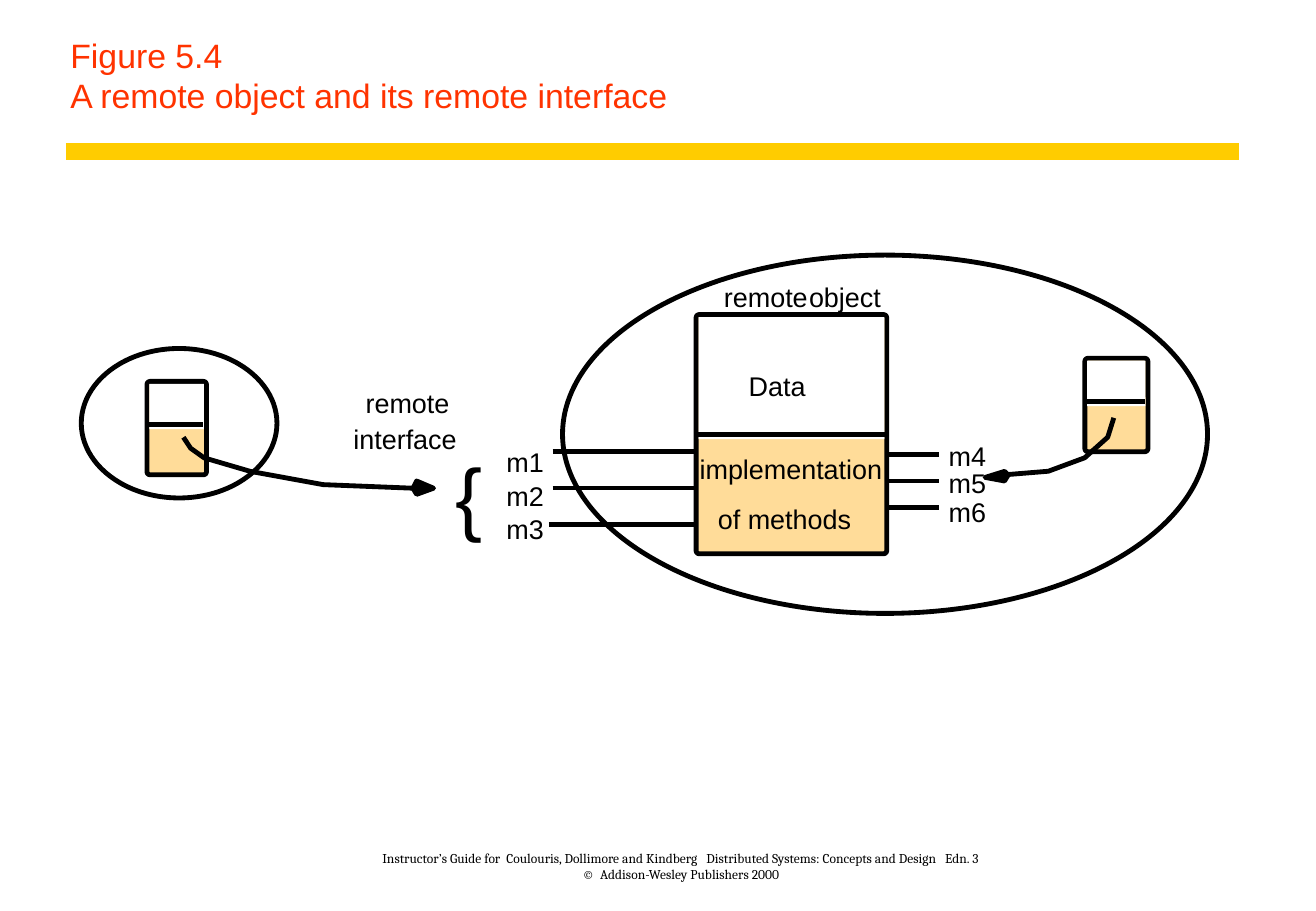
from lxml import etree
from pptx import Presentation
from pptx.dml.color import RGBColor
from pptx.enum import shapes, text
from pptx.oxml import ns
from pptx.util import Pt

BLACK = RGBColor(0, 0, 0)
WHITE = RGBColor(255, 255, 255)
RED = RGBColor(0xFF, 0x33, 0x00)
YELLOW = RGBColor(0xFF, 0xCC, 0x00)
PEACH = RGBColor(0xFF, 0xDC, 0x99)
STROKE = 2.87
CORNER = 1.8
LINE_HEIGHT = 19.5


def write_lines(frame, lines, size, font, color, align):
    """Fill a text frame with one paragraph of lines split by breaks."""
    para = frame.paragraphs[0]
    para.alignment = align
    for index, line in enumerate(lines):
        if index:
            para.add_line_break()
        span = para.add_run()
        span.text = line
        span.font.size = Pt(size)
        span.font.name = font
        span.font.color.rgb = color


def add_label(page, words, left, top, width, height=LINE_HEIGHT, size=16):
    box = page.shapes.add_textbox(Pt(left), Pt(top), Pt(width), Pt(height))
    frame = box.text_frame
    frame.margin_left = frame.margin_right = 0
    frame.margin_top = frame.margin_bottom = 0
    frame.word_wrap = True
    write_lines(frame, [words], size, "Arial", BLACK, text.PP_ALIGN.LEFT)


def style_shape(shape, fill=None, line=None):
    shape.shadow.inherit = False
    if fill is None:
        shape.fill.background()
    else:
        shape.fill.solid()
        shape.fill.fore_color.rgb = fill
    if line is None:
        shape.line.fill.background()
    else:
        shape.line.color.rgb = line
        shape.line.width = Pt(STROKE)


def add_preset(page, kind, left, top, width, height, fill=None, line=None):
    shape = page.shapes.add_shape(kind, Pt(left), Pt(top), Pt(width), Pt(height))
    if kind == shapes.MSO_SHAPE.ROUNDED_RECTANGLE:
        shape.adjustments[0] = CORNER / min(width, height)
    style_shape(shape, fill, line)
    return shape


def add_line(page, x1, y1, x2, y2, color=BLACK, weight=STROKE):
    line = page.shapes.add_connector(
        shapes.MSO_CONNECTOR.STRAIGHT, Pt(x1), Pt(y1), Pt(x2), Pt(y2))
    line.line.color.rgb = color
    line.line.width = Pt(weight)
    etree.SubElement(line._element.spPr, ns.qn("a:effectLst"))
    return line


def add_outline(page, points, closed=False):
    (x, y), *rest = points
    builder = page.shapes.build_freeform(Pt(x), Pt(y))
    builder.add_line_segments([(Pt(a), Pt(b)) for a, b in rest], close=closed)
    style_shape(builder.convert_to_shape(), BLACK if closed else None, BLACK)


def add_object(page, left, top, width, height, divider):
    """Object with white data above and peach methods below."""
    rounded = shapes.MSO_SHAPE.ROUNDED_RECTANGLE
    frame = add_preset(page, rounded, left, top, width, height, PEACH, BLACK)
    inset = STROKE / 2
    add_preset(page, shapes.MSO_SHAPE.RECTANGLE, left + inset, top + inset,
               width - 2 * inset, divider + inset, WHITE)
    line = add_line(page, left, top + divider, left + width - 2, top + divider)
    return frame, line


def add_heading(page):
    title = page.shapes.title
    title.left, title.top = Pt(34.5), Pt(18)
    title.width, title.height = Pt(700), Pt(54)
    title.text_frame.vertical_anchor = text.MSO_ANCHOR.BOTTOM
    title.text_frame.auto_size = text.MSO_AUTO_SIZE.NONE
    write_lines(title.text_frame,
                ["Figure 5.4", "A remote object and its remote interface"],
                20, "Arial", RED, text.PP_ALIGN.LEFT)
    add_line(page, 39, 90, 734.4, 90, YELLOW, 10)


def add_footer(page):
    box = page.shapes.add_textbox(Pt(166.5), Pt(504), Pt(474.5), Pt(22.3))
    box.text_frame.word_wrap = True
    box.text_frame.vertical_anchor = text.MSO_ANCHOR.BOTTOM
    write_lines(box.text_frame,
                ["Instructor’s Guide for  Coulouris, Dollimore and Kindberg   "
                 "Distributed Systems: Concepts and Design   Edn. 3",
                 "©  Addison-Wesley Publishers 2000"],
                8, "Cambria", BLACK, text.PP_ALIGN.CENTER)


def main():
    deck = Presentation()
    deck.slide_width, deck.slide_height = Pt(780), Pt(540)
    page = deck.slides.add_slide(deck.slide_layouts[5])
    add_heading(page)
    add_footer(page)

    # Objects; the remote object's divider joins its side midpoints
    add_object(page, 643, 212.4, 37.4, 55.4, 25.5)
    add_object(page, 87.1, 226.1, 35.3, 55.4, 25.5)
    remote, divider = add_object(page, 412.6, 186.5, 113, 141.8, 70.9)
    divider.begin_connect(remote, 1)
    divider.end_connect(remote, 3)

    # Processes around the objects
    oval = shapes.MSO_SHAPE.OVAL
    add_preset(page, oval, 333.4, 151.2, 382.3, 212.4, line=BLACK)
    add_preset(page, oval, 48.2, 206.6, 116, 88.6, line=BLACK)

    # Method lines and names on both sides
    for row, start in enumerate((327.6, 327.6, 325.4)):
        y = 267.5 + 21.8 * row
        add_line(page, start, y, 412.6, y)
        add_label(page, f"m{row + 1}", 300.2, 264.4 + 19.8 * row, 26)
    for row, top in enumerate((260.6, 276.5, 293.8)):
        y = 269.3 + 15.85 * row
        add_line(page, 525.6, y, 556.6, y)
        add_label(page, f"m{row + 4}", 562.3, top, 26)

    # Captions, each box a little wider than its words
    for words, left, top, width in (
            ("remote", 216.7, 229, 54),
            ("interface", 209.5, 250.6, 66),
            ("remote", 429.1, 166.3, 54),
            ("object", 479.5, 166.3, 48),
            ("Data", 443.8, 218.9, 38),
            ("implementation", 414.7, 268.4, 114),
            ("of methods", 425.5, 298.1, 84)):
        add_label(page, words, left, top, width)
    add_label(page, "{", 270, 264.2, 20, 57.6, 48)

    # References: bent line, then arrowhead
    add_outline(page, [(108.7, 259.2), (113, 265.7), (121, 271.4),
                       (148.3, 279.4), (191.5, 287.3), (244.8, 289.4)])
    add_outline(page, [(244.8, 289.4), (247, 285.1), (257, 289.4),
                       (247, 293)], closed=True)
    add_outline(page, [(660.2, 247.7), (656.6, 259.2), (643, 271.4),
                       (621.4, 279.4), (595.4, 281.5)])
    add_outline(page, [(597.6, 281.5), (595.4, 285.1), (583.9, 283),
                       (595.4, 279.4)], closed=True)

    deck.save("out.pptx")


if __name__ == "__main__":
    main()
